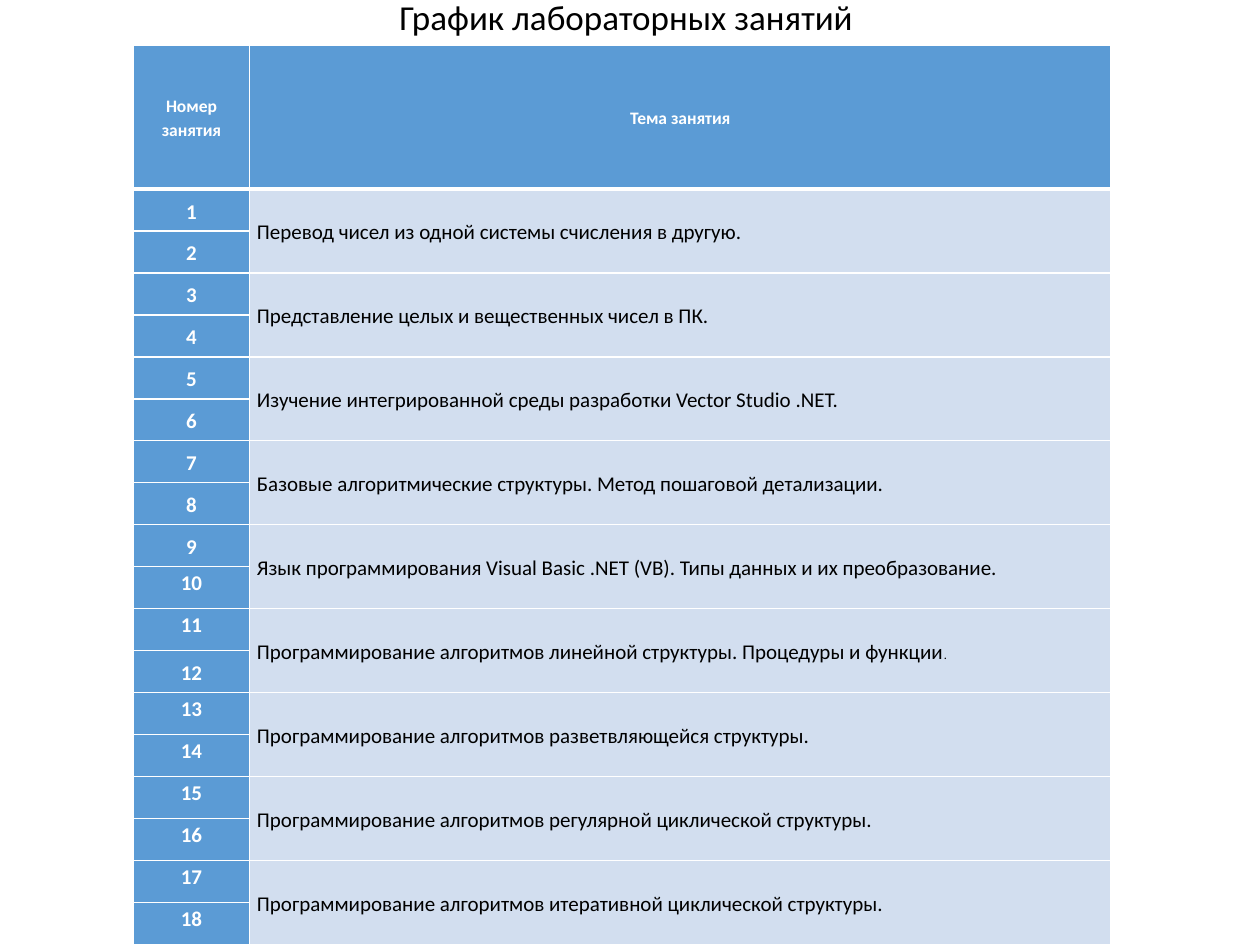
from lxml import etree
from pptx import Presentation
from pptx.dml.color import RGBColor
from pptx.enum.text import MSO_ANCHOR as ANCHOR, PP_ALIGN as ALIGN
from pptx.oxml.ns import qn
from pptx.util import Inches, Pt

BLUE, PALE, WHITE, BLACK = "5B9BD5", "D2DEEF", "FFFFFF", "000000"
TOPICS = [
    "Перевод чисел из одной системы счисления в другую.",
    "Представление целых и вещественных чисел в ПК.",
    "Изучение интегрированной среды разработки Vector Studio .NET.",
    "Базовые алгоритмические структуры. Метод пошаговой детализации.",
    "Язык программирования Visual Basic .NET (VB). Типы данных и их преобразование.",
    "Программирование алгоритмов линейной структуры. Процедуры и функции",
    "Программирование алгоритмов разветвляющейся структуры.",
    "Программирование алгоритмов регулярной циклической структуры.",
    "Программирование алгоритмов итеративной циклической структуры.",
]


def fill_cell(cell, text, size, color, fill, bold=True, align=ALIGN.CENTER):
    cell.fill.solid()
    cell.fill.fore_color.rgb = RGBColor.from_string(fill)
    cell.vertical_anchor = ANCHOR.MIDDLE
    cell.margin_left = cell.margin_right = Inches(0.06)
    cell.margin_top = cell.margin_bottom = 0
    p = cell.text_frame.paragraphs[0]
    p.add_run().text = text
    p.alignment, p.line_spacing = align, 1.15
    p.font.name, p.font.size, p.font.bold = "Calibri", Pt(size), bold
    p.font.color.rgb = RGBColor.from_string(color)
    return p


def set_borders(cell, bottom=1):
    """Draw white lines round a cell; widths are in points."""
    tcPr = cell._tc.get_or_add_tcPr()
    for i, (side, width) in enumerate([("L", 1), ("R", 1), ("T", 1), ("B", bottom)]):
        ln = etree.Element(qn(f"a:ln{side}"), w=str(Pt(width)))
        solid = etree.SubElement(ln, qn("a:solidFill"))
        etree.SubElement(solid, qn("a:srgbClr"), val=WHITE)
        tcPr.insert(i, ln)


prs = Presentation()
prs.slide_width, prs.slide_height = Inches(10), Inches(7.5)
s = prs.slides.add_slide(prs.slide_layouts[5])

title = s.shapes.title
title.left, title.top = Inches(0.59), Inches(0.01)
title.width, title.height = Inches(8.76), Inches(0.28)
tf = title.text_frame
tf.text = "График лабораторных занятий"
tf.vertical_anchor = ANCHOR.MIDDLE
p = tf.paragraphs[0]
p.alignment, p.line_spacing = ALIGN.CENTER, 0.9
p.font.name, p.font.size = "Calibri", Pt(20)
p.font.color.rgb = RGBColor.from_string(BLACK)

lessons = 2 * len(TOPICS)
table = s.shapes.add_table(lessons + 1, 2, Inches(1.06), Inches(0.36),
                           Inches(7.76), Inches(7.14)).table
table.columns[0].width, table.columns[1].width = Inches(0.92), Inches(6.84)
table.rows[0].height = Inches(1.14)
for n in range(1, lessons + 1):
    table.rows[n].height = Inches(6 / lessons)

fill_cell(table.cell(0, 0), "Номер занятия", 10, WHITE, BLUE)
p = fill_cell(table.cell(0, 1), "Тема занятия", 10, WHITE, BLUE)
p.space_before = Pt(6)

for n in range(1, lessons + 1):
    cell = table.cell(n, 0)
    fill_cell(cell, str(n), 12, WHITE, BLUE)
    if n >= 10 and n != 12:
        cell.vertical_anchor = ANCHOR.TOP

for i, topic in enumerate(TOPICS):
    cell = table.cell(2 * i + 1, 1)
    cell.merge(table.cell(2 * i + 2, 1))
    p = fill_cell(cell, topic, 12, BLACK, PALE, bold=False, align=ALIGN.LEFT)
    if not topic.endswith("."):
        r = p.add_run()
        r.text, r.font.size = ".", Pt(7)

for n in range(lessons + 1):
    for col in range(2):
        set_borders(table.cell(n, col), bottom=1 if n else 3)

prs.save("out.pptx")
